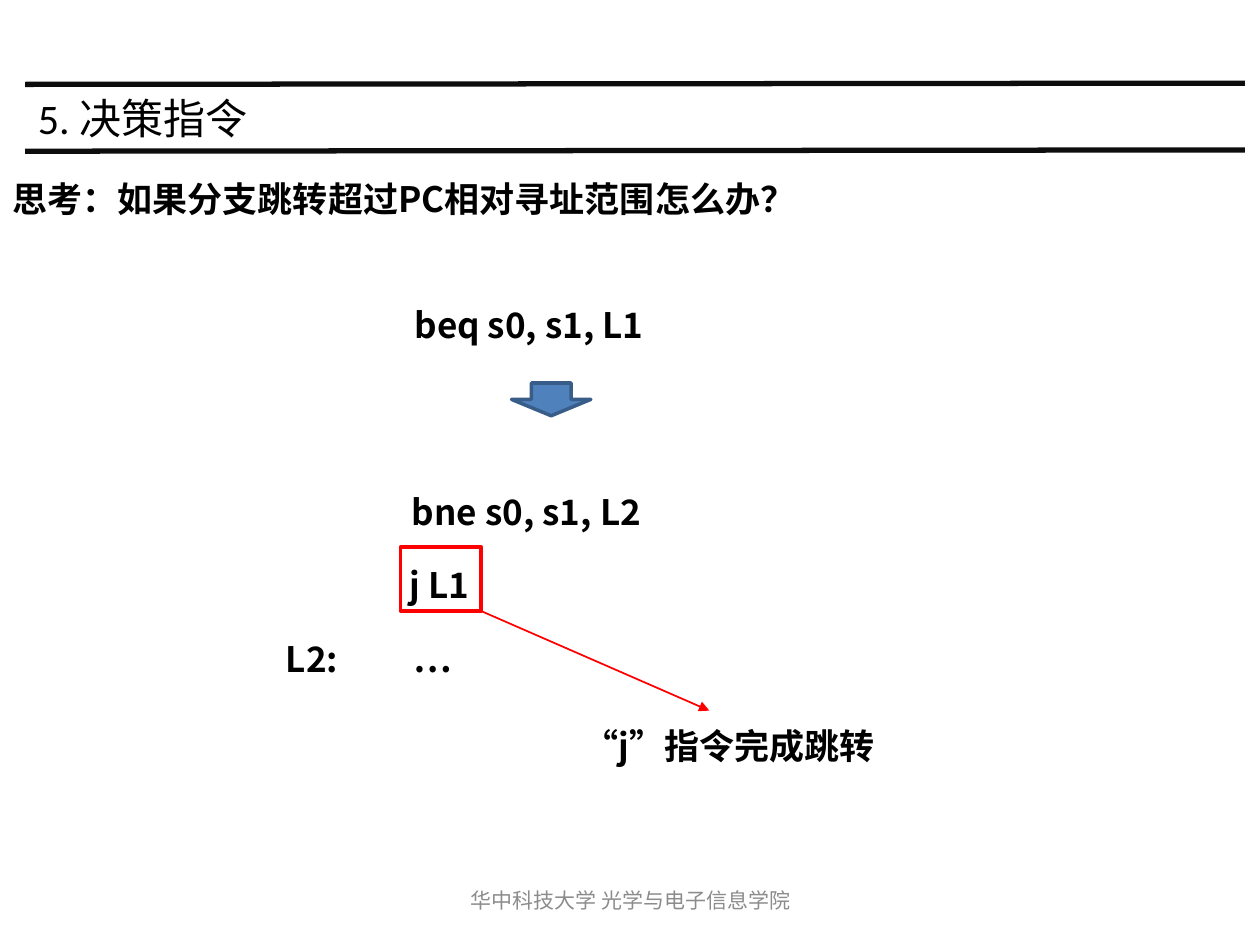
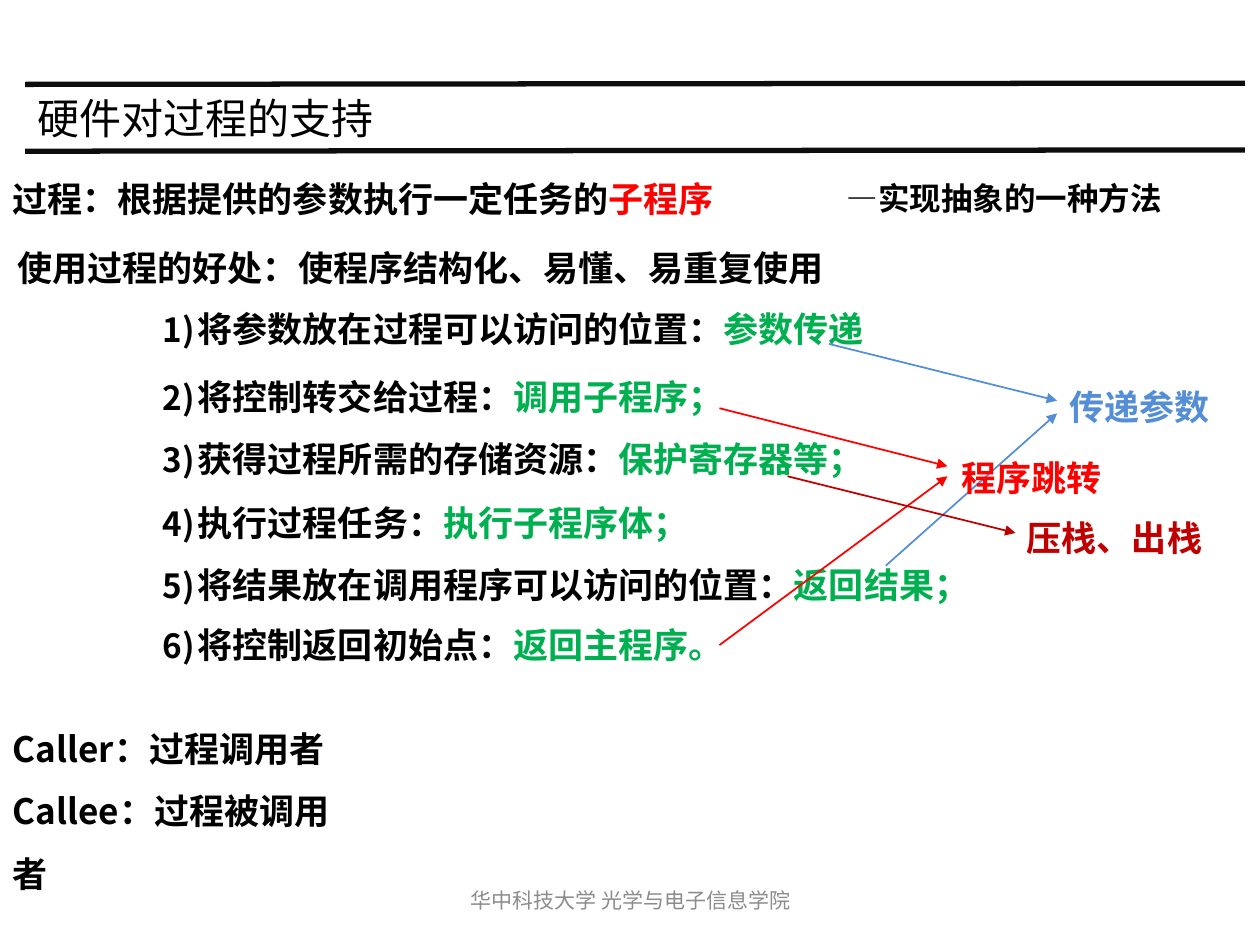
from lxml import etree
from pptx import Presentation
from pptx.dml.color import RGBColor
from pptx.enum.shapes import MSO_CONNECTOR, MSO_SHAPE
from pptx.enum.text import MSO_ANCHOR, PP_ALIGN
from pptx.oxml.ns import qn
from pptx.util import Inches, Pt

BLACK = RGBColor(0, 0, 0)
RULE = RGBColor(0x0D, 0x0D, 0x0D)
GRAY = RGBColor(0x8C, 0x8C, 0x8C)
RED = RGBColor(0xFF, 0, 0)
DARK_RED = RGBColor(0xC0, 0, 0)
GREEN = RGBColor(0, 0xAF, 0x50)
SKY = RGBColor(0x54, 0x8E, 0xD4)
ARROW_FILL = RGBColor(0x4F, 0x81, 0xBC)
ARROW_LINE = RGBColor(0x38, 0x5D, 0x89)

CJK_FONT = "Noto Sans CJK SC"
TITLE_FONT = "Calibri"
FOOTER = "华中科技大学 光学与电子信息学院"

BRANCH_TITLE = "5. 决策指令"
BRANCH_TEXTS = [
    (0.1, 1.41, 6.23, "思考：如果分支跳转超过PC相对寻址范围怎么办？"),
    (3.29, 2.41, 3, "beq s0, s1, L1"),
    (3.27, 3.89, 3, "bne s0, s1, L2"),
    (3.25, 4.47, 0.6, "j L1"),
    (4.63, 5.75, 2.32, "“j”指令完成跳转"),
]
LABEL_LINE = (2.27, 5.06, 2, "L2:\t…")
BRANCH_ARROW = ((3.82, 4.85), (5.63, 5.64), RED)

SUPPORT_TITLE = "硬件对过程的支持"
DEFINITION = [("过程：根据提供的参数执行一定任务的", BLACK), ("子程序", RED)]
REMARK = "—实现抽象的一种方法"
BENEFIT = "使用过程的好处：使程序结构化、易懂、易重复使用"
STEPS = [
    (0, "将参数放在过程可以访问的位置：", "参数传递"),
    (14.9, "将控制转交给过程：", "调用子程序；"),
    (11.4, "获得过程所需的存储资源：", "保护寄存器等；"),
    (12.6, "执行过程任务：", "执行子程序体；"),
    (11.4, "将结果放在调用程序可以访问的位置：", "返回结果；"),
    (10.3, "将控制返回初始点：", "返回主程序。"),
]
ROLES = ["Caller：过程调用者", "Callee：过程被调用者"]
MECHANISMS = [
    (8.49, 3.06, "传递参数", SKY),
    (7.63, 3.62, "程序跳转", RED),
    (8.15, 4.1, "压栈、出栈", DARK_RED),
]
STEP_ARROWS = [
    ((5.71, 3.24), (7.52, 3.7), RED),
    ((5.71, 5.12), (7.52, 3.78), RED),
    ((6.58, 2.73), (8.39, 3.18), SKY),
    ((7.03, 4.49), (8.39, 3.28), SKY),
    ((6.25, 3.78), (8.06, 4.23), DARK_RED),
]


def add_text(slide, left, top, width, paragraphs, size=20, bold=True,
             font=CJK_FONT, height=0.4, pitch=24):
    shape = slide.shapes.add_textbox(
        Inches(left), Inches(top), Inches(width), Inches(height))
    frame = shape.text_frame
    frame.word_wrap = True
    frame.margin_left = frame.margin_right = 0
    frame.margin_top = frame.margin_bottom = 0
    for index, runs in enumerate(paragraphs):
        paragraph = frame.paragraphs[0] if index == 0 else frame.add_paragraph()
        paragraph.line_spacing = Pt(pitch)
        for text, color in runs:
            run = paragraph.add_run()
            run.text = text
            run.font.size = Pt(size)
            run.font.bold = bold
            run.font.name = font
            run.font.color.rgb = color
            properties = run.font._element
            properties.set("lang", "zh-CN")
            etree.SubElement(properties, qn("a:ea"), typeface=CJK_FONT)
    return frame


def add_line(slide, start, end, color, width, arrow=False):
    line = slide.shapes.add_connector(
        MSO_CONNECTOR.STRAIGHT, *[Inches(value) for value in (*start, *end)])
    line.line.color.rgb = color
    line.line.width = Pt(width)
    if arrow:
        etree.SubElement(line.line._get_or_add_ln(), qn("a:tailEnd"), type="triangle")
    etree.SubElement(line._element.spPr, qn("a:effectLst"))


def add_box(slide, preset, left, top, width, height, line_color, fill_color=None):
    shape = slide.shapes.add_shape(
        preset, Inches(left), Inches(top), Inches(width), Inches(height))
    shape.shadow.inherit = False
    shape.line.color.rgb = line_color
    shape.line.width = Pt(2)
    if fill_color is None:
        shape.fill.background()
    else:
        shape.fill.solid()
        shape.fill.fore_color.rgb = fill_color


def add_page(presentation, title):
    slide = presentation.slides.add_slide(presentation.slide_layouts[6])
    for y in (0.67, 1.2):
        add_line(slide, (0.2, y), (9.88, y - 0.01), RULE, 3)
    heading = add_text(slide, 0.3, 0.7, 9, [[(title, BLACK)]], 24, False,
                       TITLE_FONT, 0.46, 29)
    heading.vertical_anchor = MSO_ANCHOR.MIDDLE
    footer = add_text(slide, 3.42, 6.95, 3.17, [[(FOOTER, GRAY)]], 12, False,
                      TITLE_FONT, 0.4, 13.7)
    footer.vertical_anchor = MSO_ANCHOR.MIDDLE
    footer.paragraphs[0].alignment = PP_ALIGN.CENTER
    return slide


def build_branch(presentation):
    slide = add_page(presentation, BRANCH_TITLE)
    for left, top, width, text in BRANCH_TEXTS:
        add_text(slide, left, top, width, [[(text, BLACK)]])
    left, top, width, text = LABEL_LINE
    label = add_text(slide, left, top, width, [[(text, BLACK)]])
    tabs = etree.SubElement(label.paragraphs[0]._p.get_or_add_pPr(), qn("a:tabLst"))
    etree.SubElement(tabs, qn("a:tab"), pos=str(Inches(1.01)), algn="l")
    add_box(slide, MSO_SHAPE.RECTANGLE, 3.18, 4.34, 0.64, 0.51, RED)
    add_box(slide, MSO_SHAPE.DOWN_ARROW, 4.06, 3.04, 0.63, 0.26, ARROW_LINE, ARROW_FILL)
    add_line(slide, *BRANCH_ARROW, 1, arrow=True)


def build_support(presentation):
    slide = add_page(presentation, SUPPORT_TITLE)
    add_text(slide, 0.1, 1.41, 6.5, [DEFINITION])
    add_text(slide, 6.72, 1.39, 2.9, [[(REMARK, BLACK)]], 18)
    add_text(slide, 0.14, 1.96, 7.5, [[(BENEFIT, BLACK)]])
    steps = add_text(slide, 1.29, 2.44, 6.6,
                     [[(task, BLACK), (action, GREEN)] for _, task, action in STEPS],
                     height=2.85)
    for paragraph, (gap, _, _) in zip(steps.paragraphs, STEPS):
        if gap:
            paragraph.space_before = Pt(gap)
        properties = paragraph._p.get_or_add_pPr()
        properties.set("marL", str(Inches(0.28)))
        properties.set("indent", str(-Inches(0.28)))
        etree.SubElement(properties, qn("a:buSzPct"), val="95000")
        etree.SubElement(properties, qn("a:buFont"), typeface=CJK_FONT)
        etree.SubElement(properties, qn("a:buAutoNum"), type="arabicParenR")
    add_text(slide, 0.1, 5.61, 2.7, [[(role, BLACK)] for role in ROLES],
             height=1.5, pitch=35.75)
    for start, end, color in STEP_ARROWS:
        add_line(slide, start, end, color, 1, arrow=True)
    for left, top, text, color in MECHANISMS:
        add_text(slide, left, top, 1.5, [[(text, color)]])


def main():
    presentation = Presentation()
    presentation.slide_width = Inches(10)
    presentation.slide_height = Inches(7.5)
    build_branch(presentation)
    build_support(presentation)
    presentation.save("out.pptx")


if __name__ == "__main__":
    main()
